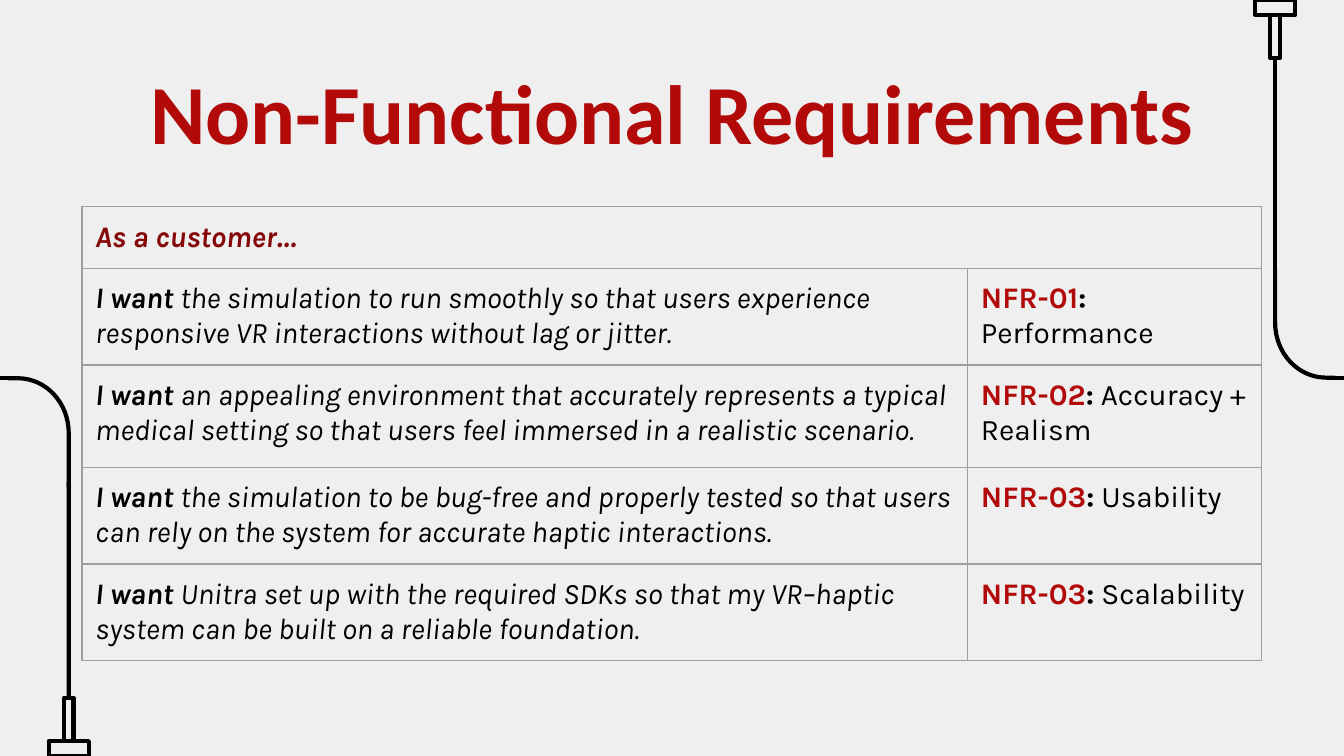
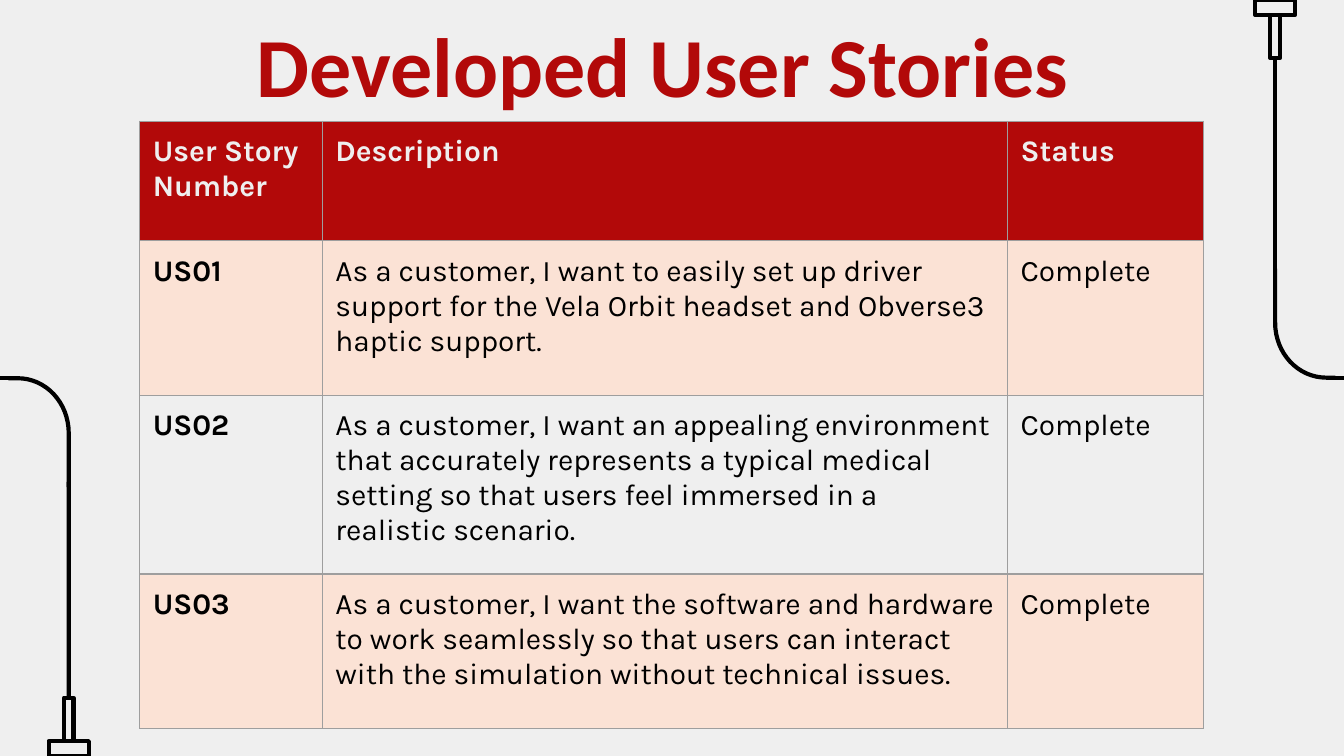
from lxml import etree
from pptx import Presentation
from pptx.dml.color import RGBColor
from pptx.enum import shapes, text
from pptx.oxml import ns
from pptx.util import Cm, Pt

COLORS = {
    "paper": "EFEFEF",
    "ink": "000000",
    "red": "B20909",
    "maroon": "850707",
    "peach": "FBE2D5",
    "grid": "9E9E9E",
}
SLIDE_W, SLIDE_H = 25.4, 14.29
CABLE_W, CABLE_H = 1.68, 7.14
INSET = 0.25
TITLE_W, TITLE_H = 21.44, 2.29
TITLE_ONLY = 5

REQUIREMENTS = [
    ("the simulation to run smoothly so that users experience responsive VR "
     "interactions without lag or jitter.", "NFR-01", "Performance"),
    ("an appealing environment that accurately represents a typical medical "
     "setting so that users feel immersed in a realistic scenario.",
     "NFR-02", "Accuracy + Realism"),
    ("the simulation to be bug-free and properly tested so that users can rely "
     "on the system for accurate haptic interactions.", "NFR-03", "Usability"),
    ("Unitra set up with the required SDKs so that my VR–haptic system can be "
     "built on a reliable foundation.", "NFR-03", "Scalability"),
]
STORY_HEADINGS = ["User Story Number", "Description", "Status"]
STORIES = [
    ("US01", "As a customer, I want to easily set up driver support for the "
     "Vela Orbit headset and Obverse3 haptic support.", "Complete"),
    ("US02", "As a customer, I want an appealing environment that accurately "
     "represents a typical medical setting so that users feel immersed in a "
     "realistic scenario.", "Complete"),
    ("US03", "As a customer, I want the software and hardware to work "
     "seamlessly so that users can interact with the simulation without "
     "technical issues.", "Complete"),
]


def rgb(name):
    return RGBColor.from_string(COLORS[name])


def add_run(paragraph, words, color, bold=False, italic=False, font="Karla", size=16):
    run = paragraph.add_run()
    run.text = words
    run.font.name, run.font.size = font, Pt(size)
    run.font.bold, run.font.italic = bold, italic
    run.font.color.rgb = rgb(color)


def style_line(line):
    line.color.rgb = rgb("ink")
    line.width = Pt(2.25)


def add_cable(slide, left, top, turned=False):
    """Draw a plug, its stem and a bending cable; turned rotates them by 180°."""

    def at(x, y):
        if turned:
            x, y = CABLE_W - x, CABLE_H - y
        return Cm(left + x), Cm(top + y)

    def outline(x, y, width, height):
        corner = at(x + width, y + height) if turned else at(x, y)
        box = slide.shapes.add_shape(
            shapes.MSO_SHAPE.RECTANGLE, *corner, Cm(width), Cm(height))
        box.shadow.inherit = False
        box.fill.background()
        style_line(box.line)
        return box

    def wire(start, end):
        connector = slide.shapes.add_connector(
            shapes.MSO_CONNECTOR.STRAIGHT, *at(*start), *at(*end))
        style_line(connector.line)
        etree.SubElement(connector.element.spPr, ns.qn("a:effectLst"))
        return connector

    outline(0, 0, 0.76, 0.28)
    stem = outline(0.29, 0.28, 0.18, 0.82)
    wire((0.38, 1.1), (0.38, 5.18)).begin_connect(stem, 0 if turned else 2)
    wire((1.42, CABLE_H), (CABLE_W, CABLE_H))

    knots = [(0.38, 6.1), (0.38, 6.68), (0.81, CABLE_H), (1.35, CABLE_H)]
    steps = 16
    curve = []
    for step in range(steps + 1):
        t = step / steps
        weights = [(1 - t) ** 3, 3 * t * (1 - t) ** 2, 3 * t * t * (1 - t), t ** 3]
        curve.append(at(*(sum(w * knot[axis] for w, knot in zip(weights, knots))
                          for axis in (0, 1))))
    builder = slide.shapes.build_freeform(*at(0.38, 5.08))
    builder.add_line_segments(curve + [at(1.52, CABLE_H)], close=False)
    bend = builder.convert_to_shape()
    bend.shadow.inherit = False
    bend.fill.background()
    style_line(bend.line)


def add_titled_slide(deck, heading, left, top):
    slide = deck.slides.add_slide(deck.slide_layouts[TITLE_ONLY])
    add_cable(slide, 0, SLIDE_H - CABLE_H, turned=True)
    add_cable(slide, SLIDE_W - CABLE_W, 0)

    title = slide.shapes.title
    title.left, title.top = Cm(left), Cm(top)
    title.width, title.height = Cm(TITLE_W), Cm(TITLE_H)
    frame = title.text_frame
    frame.auto_size = text.MSO_AUTO_SIZE.NONE
    frame.word_wrap = True
    frame.vertical_anchor = text.MSO_ANCHOR.TOP
    frame.margin_left = frame.margin_right = Cm(INSET)
    frame.margin_top = frame.margin_bottom = Cm(INSET)
    paragraph = frame.paragraphs[0]
    paragraph.alignment = text.PP_ALIGN.CENTER
    add_run(paragraph, heading, "red", bold=True, font="Calibri", size=45)
    return slide


def add_borders(cell):
    properties = cell._tc.get_or_add_tcPr()
    for side in ("lnL", "lnR", "lnT", "lnB"):
        border = etree.SubElement(properties, ns.qn(f"a:{side}"), w=str(Pt(0.75)))
        fill = etree.SubElement(border, ns.qn("a:solidFill"))
        etree.SubElement(fill, ns.qn("a:srgbClr"), val=COLORS["grid"])


def add_grid(slide, left, top, widths, heights):
    """Add a plain bordered table without fills and return it."""
    table = slide.shapes.add_table(
        len(heights), len(widths), Cm(left), Cm(top),
        Cm(sum(widths)), Cm(sum(heights))).table
    table.first_row = table.horz_banding = False
    for column, width in zip(table.columns, widths):
        column.width = Cm(width)
    for row, height in zip(table.rows, heights):
        row.height = Cm(height)
    for cell in table.iter_cells():
        cell.margin_left = cell.margin_right = Cm(INSET)
        cell.margin_top = cell.margin_bottom = Cm(INSET)
        add_borders(cell)
        cell.fill.background()
    return table


def fill_cell(cell, color):
    cell.fill.solid()
    cell.fill.fore_color.rgb = rgb(color)


def add_requirements(slide, left, top):
    table = add_grid(slide, left, top, [16.74, 5.56], [1.15, 1.83, 1.93, 1.83, 1.83])
    customer = table.cell(0, 0)
    customer.merge(table.cell(0, 1))
    add_run(customer.text_frame.paragraphs[0], "As a customer…", "maroon", True, True)

    for row, (wish, code, quality) in enumerate(REQUIREMENTS, start=1):
        story = table.cell(row, 0).text_frame.paragraphs[0]
        add_run(story, "I want ", "ink", True, True)
        add_run(story, wish, "ink", italic=True)
        label = table.cell(row, 1).text_frame.paragraphs[0]
        label.space_after = Pt(10)
        add_run(label, code, "red", True)
        add_run(label, ":", "ink", True)
        add_run(label, f" {quality}", "ink")


def add_stories(slide, left, top):
    table = add_grid(slide, left, top, [3.45, 12.95, 3.71], [2.26, 2.92, 3.38, 2.92])
    for row, entries in enumerate([STORY_HEADINGS, *STORIES]):
        for column, words in enumerate(entries):
            cell = table.cell(row, column)
            if row == 0:
                fill_cell(cell, "red")
            elif row % 2:
                fill_cell(cell, "peach")
            add_run(cell.text_frame.paragraphs[0], words,
                    "ink" if row else "paper", bold=row == 0 or column == 0)


def main():
    deck = Presentation()
    deck.slide_width, deck.slide_height = Cm(SLIDE_W), Cm(SLIDE_H)
    backdrop = deck.slide_master.background.fill
    backdrop.solid()
    backdrop.fore_color.rgb = rgb("paper")

    add_requirements(
        add_titled_slide(deck, "Non-Functional Requirements", 1.98, 0.89), 1.55, 3.91)
    add_stories(add_titled_slide(deck, "Developed User Stories", 1.8, 0), 2.64, 2.29)
    deck.save("out.pptx")


if __name__ == "__main__":
    main()
